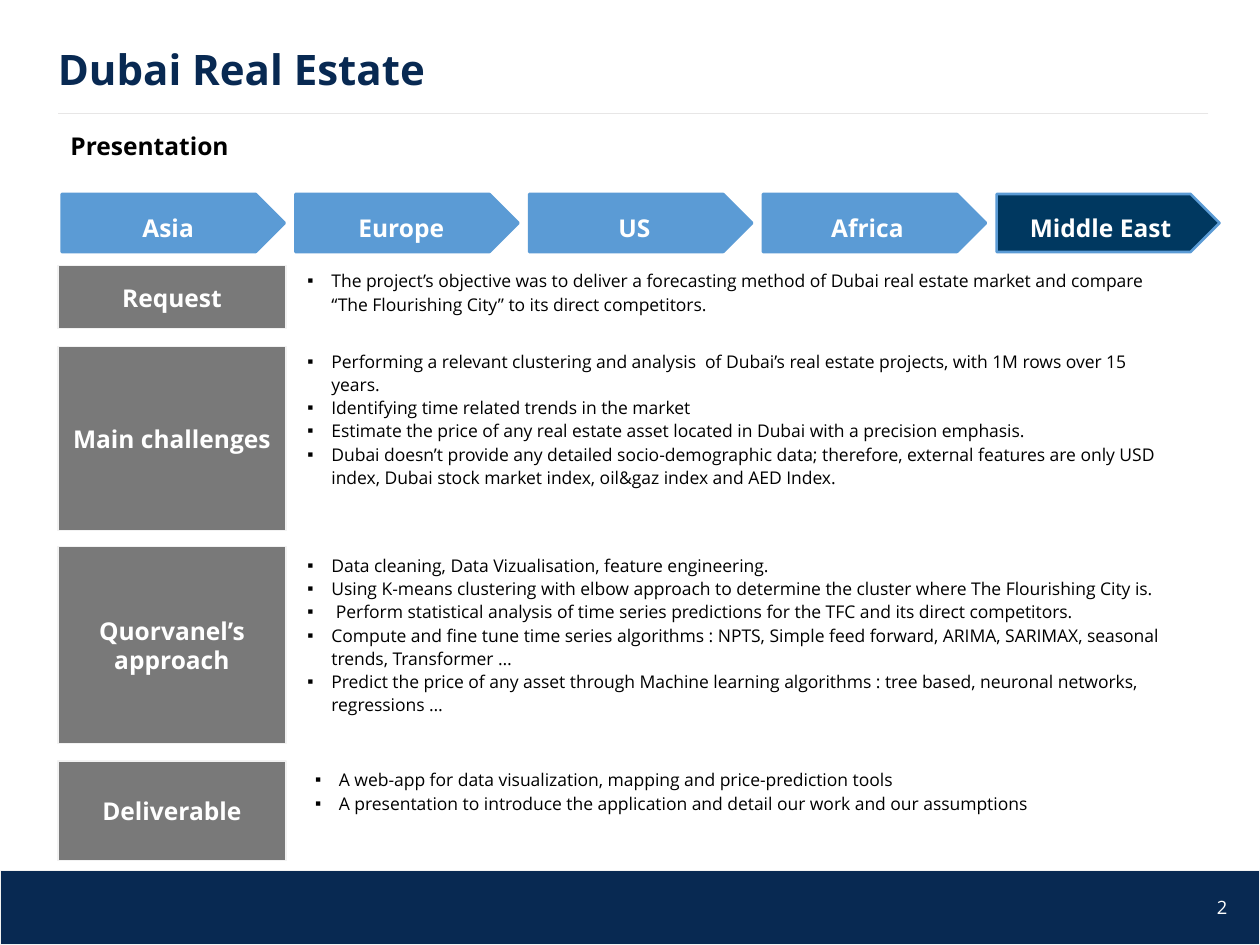
from dataclasses import dataclass

from lxml.etree import SubElement
from pptx import Presentation
from pptx.dml.color import RGBColor
from pptx.enum.shapes import MSO_CONNECTOR as Connector, MSO_SHAPE as Shape
from pptx.enum.text import MSO_ANCHOR as Anchor, MSO_AUTO_SIZE as AutoSize, PP_ALIGN as Align
from pptx.oxml.ns import qn
from pptx.util import Inches, Pt


@dataclass(frozen=True)
class Theme:
    font: str = "Open Sans"
    navy: str = "082952"
    deep: str = "003860"
    blue: str = "5B9BD5"
    grey: str = "797979"
    pale: str = "F2F2F2"
    rule: str = "E7E6E6"
    white: str = "FFFFFF"
    black: str = "000000"
    title: float = 24
    heading: float = 14
    number: float = 10.5
    body: float = 10


@dataclass(frozen=True)
class Area:
    """A place on a grid of 100 columns by 75 rows."""
    column: float
    row: float
    columns: float
    rows: float


@dataclass(frozen=True)
class Section:
    name: str
    row: float
    rows: float
    list_area: Area
    points: tuple[str, ...]


THEME = Theme()
COLUMNS, ROWS = 100, 75
MARGIN = 4.6
NAME_COLUMNS = 18.1
STAGE_PITCH, LABEL_PITCH = 18.55, 18.5

STAGES = ("Asia", "Europe", "US", "Africa", "Middle East")
CURRENT_STAGE = "Middle East"

SECTIONS = (
    Section("Request", 21.1, 5, Area(23.4, 20.8, 70.4, 7.3), (
        "The project’s objective was to deliver a forecasting method of Dubai real estate "
        "market and compare “The Flourishing City” to its direct competitors.",
    )),
    Section("Main challenges", 27.5, 14.6, Area(23.4, 27.2, 70.4, 14.6), (
        "Performing a relevant clustering and analysis  of Dubai’s real estate projects, "
        "with 1M rows over 15 years.",
        "Identifying time related trends in the market",
        "Estimate the price of any real estate asset located in Dubai with a precision emphasis.",
        "Dubai doesn’t provide any detailed socio-demographic data; therefore, external "
        "features are only USD index, Dubai stock market index, oil&gaz index and AED Index.",
    )),
    Section("Quorvanel’s approach", 43.4, 15.6, Area(23.4, 43.4, 72.6, 14.6), (
        "Data cleaning, Data Vizualisation, feature engineering.",
        "Using K-means clustering with elbow approach to determine the cluster where "
        "The Flourishing City is.",
        " Perform statistical analysis of time series predictions for the TFC and its "
        "direct competitors.",
        "Compute and fine tune time series algorithms : NPTS, Simple feed forward, ARIMA, "
        "SARIMAX, seasonal trends, Transformer …",
        "Predict the price of any asset through Machine learning algorithms : tree based, "
        "neuronal networks, regressions …",
    )),
    Section("Deliverable", 60.4, 7.9, Area(24, 60.4, 75, 7.9), (
        "A web-app for data visualization, mapping and price-prediction tools",
        "A presentation to introduce the application and detail our work and our assumptions",
    )),
)

deck = Presentation()
deck.slide_width, deck.slide_height = Inches(10), Inches(7.5)
page = deck.slides.add_slide(deck.slide_layouts.get_by_name("Comparison"))


def across(columns: float) -> int:
    return round(deck.slide_width * columns / COLUMNS)


def down(rows: float) -> int:
    return round(deck.slide_height * rows / ROWS)


def bounds(area: Area) -> tuple[int, int, int, int]:
    return across(area.column), down(area.row), across(area.columns), down(area.rows)


def place(box, area: Area) -> None:
    box.left, box.top, box.width, box.height = bounds(area)


def write(box, texts: tuple[str, ...], size: float, colour: str, bold: bool = False,
          align=Align.LEFT, anchor=Anchor.TOP, spacing: float = 1.0) -> None:
    frame = box.text_frame
    frame.word_wrap = True
    frame.auto_size = AutoSize.NONE
    frame.vertical_anchor = anchor
    for index, text in enumerate(texts):
        para = frame.add_paragraph() if index else frame.paragraphs[0]
        para.alignment, para.line_spacing = align, spacing
        para.space_before = para.space_after = Pt(0)
        span = para.add_run()
        span.text = text
        font = span.font
        font.name, font.size, font.bold = THEME.font, Pt(size), bold
        font.color.rgb = RGBColor.from_string(colour)


def add_bullets(box) -> None:
    for para in box.text_frame.paragraphs:
        properties = para._p.get_or_add_pPr()
        properties.set("marL", str(Inches(0.19)))
        properties.set("indent", str(-Inches(0.19)))
        SubElement(properties, qn("a:buFont"), typeface="Arial")
        SubElement(properties, qn("a:buChar"), char="▪")


def add_block(kind, area: Area, fill: str, line: str, weight: float):
    block = page.shapes.add_shape(kind, *bounds(area))
    block.shadow.inherit = False
    block.fill.solid()
    block.fill.fore_color.rgb = RGBColor.from_string(fill)
    block.line.color.rgb = RGBColor.from_string(line)
    block.line.width = Pt(weight)
    return block


def add_text(area: Area, text: str, size: float, colour: str, **style) -> None:
    write(page.shapes.add_textbox(*bounds(area)), (text,), size, colour, **style)


def add_stage(index: int, name: str) -> None:
    fill = THEME.deep if name == CURRENT_STAGE else THEME.blue
    add_block(Shape.PENTAGON, Area(4.9 + index * STAGE_PITCH, 15.4, 17.7, 4.6),
              fill, THEME.blue, 1.5)
    add_text(Area(5.5 + index * LABEL_PITCH, 16.2, 15.7, 3.4), name, THEME.heading,
             THEME.white, bold=True, align=Align.CENTER, spacing=1.1)


def add_section(section: Section, list_box) -> None:
    block = add_block(Shape.RECTANGLE, Area(MARGIN, section.row, NAME_COLUMNS, section.rows),
                      THEME.grey, THEME.pale, 0.75)
    write(block, (section.name,), THEME.heading, THEME.white, bold=True,
          align=Align.CENTER, anchor=Anchor.MIDDLE)
    place(list_box, section.list_area)
    write(list_box, section.points, THEME.body, THEME.black, spacing=1.1)
    add_bullets(list_box)


# Footer band and page number
add_block(Shape.RECTANGLE, Area(0, 69.1, COLUMNS, 5.9), THEME.navy, THEME.pale, 0.75)
add_text(Area(93.5, 70, 4.9, 4), "2", THEME.number, THEME.white,
         align=Align.RIGHT, anchor=Anchor.MIDDLE)

# Title, rule and subtitle
title = page.shapes.title
place(title, Area(MARGIN, 3.4, 90.8, 4.8))
write(title, ("Dubai Real Estate",), THEME.title, THEME.navy, bold=True, spacing=0.9)
title.text_frame.margin_left = title.text_frame.margin_right = 0
rule = page.shapes.add_connector(Connector.STRAIGHT, across(95.9), down(9), across(MARGIN), down(9))
rule.line.color.rgb = RGBColor.from_string(THEME.rule)
rule.line.width = Pt(0.75)
SubElement(rule._element.spPr, qn("a:effectLst"))
add_text(Area(MARGIN, 9.7, 90.8, 5), "Presentation", THEME.heading, THEME.black,
         bold=True, spacing=1.1)

# Regions
for index, name in enumerate(STAGES):
    add_stage(index, name)

# Sections, each with its list in a body placeholder
for number, section in enumerate(SECTIONS, start=1):
    add_section(section, page.placeholders[number])

deck.save("out.pptx")
